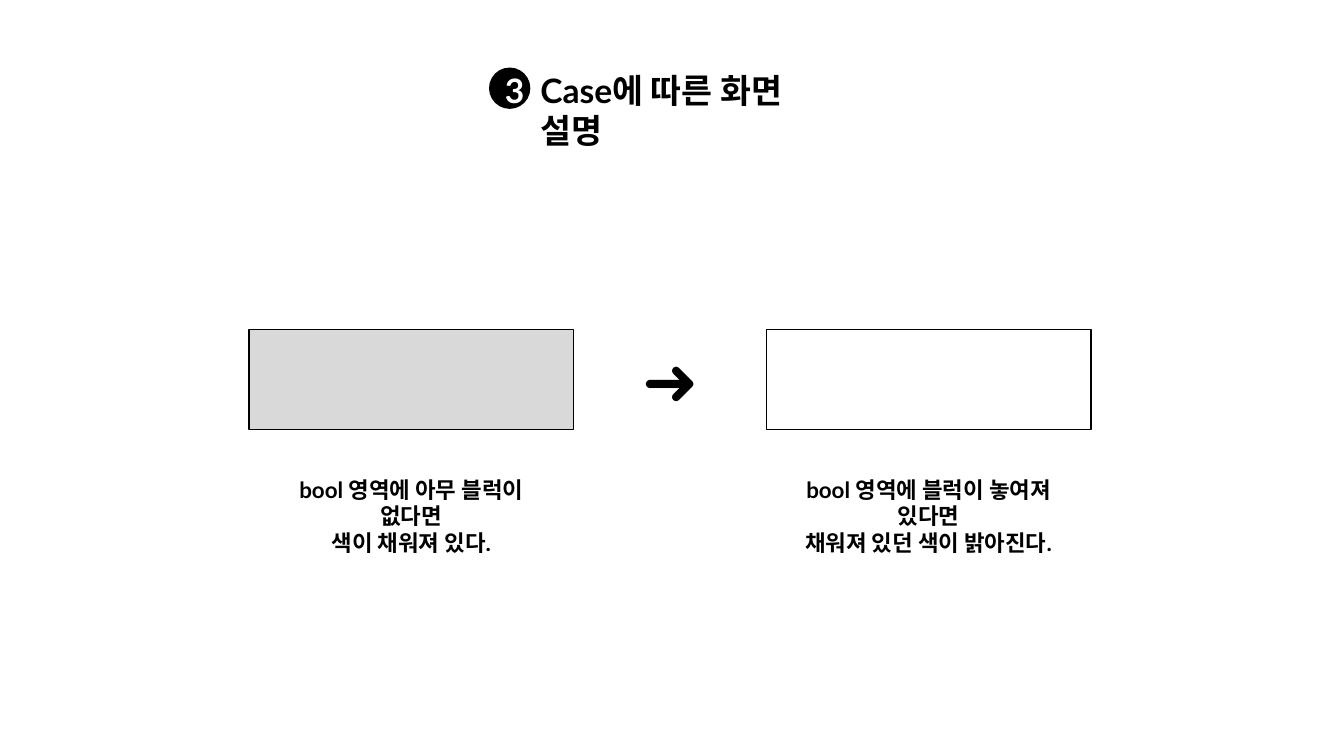
"""Build the slide that explains the screen for each case."""
from pptx import Presentation
from pptx.dml.color import RGBColor
from pptx.enum import shapes, text
from pptx.util import Inches, Pt

COLORS = {"black": "000000", "white": "FFFFFF", "gray": "D9D9D9"}


def write(shape, lines, size=16, color="black", align=text.PP_ALIGN.CENTER,
          anchor=text.MSO_ANCHOR.TOP, wrap=True):
    frame = shape.text_frame
    frame.text = lines
    frame.word_wrap = wrap
    frame.auto_size = text.MSO_AUTO_SIZE.NONE
    frame.vertical_anchor = anchor
    for paragraph in frame.paragraphs:
        paragraph.alignment = align
        paragraph.font.name = "Lato"
        paragraph.font.size = Pt(size)
        paragraph.font.bold = True
        paragraph.font.color.rgb = RGBColor.from_string(COLORS[color])


def add_filled(kind, left, top, width, height, fill):
    shape = slide.shapes.add_shape(
        kind, Inches(left), Inches(top), Inches(width), Inches(height))
    shape.shadow.inherit = False
    shape.fill.solid()
    shape.fill.fore_color.rgb = RGBColor.from_string(COLORS[fill])
    return shape


presentation = Presentation()
presentation.slide_width = Inches(13.33)
presentation.slide_height = Inches(7.5)
slide = presentation.slides.add_slide(presentation.slide_layouts[5])

title = slide.shapes.title
title.left, title.top = Inches(5.26), Inches(0.64)
title.width, title.height = Inches(3.22), Inches(0.5)
write(title, "Case에 따른 화면 설명", size=24, align=text.PP_ALIGN.LEFT)

badge = add_filled(shapes.MSO_SHAPE.OVAL, 4.85, 0.67, 0.41, 0.41, "black")
badge.line.fill.background()
write(badge, "3", size=24, color="white", anchor=text.MSO_ANCHOR.MIDDLE)
badge.text_frame.margin_top = Inches(0.08)

cases = [
    (2.47, "gray", 2.58, 3, "bool 영역에 아무 블럭이 없다면\n색이 채워져 있다."),
    (7.6, "white", 7.61, 3.2, "bool 영역에 블럭이 놓여져 있다면\n채워져 있던 색이 밝아진다."),
]
for box_left, fill, caption_left, caption_width, lines in cases:
    caption = slide.shapes.add_textbox(
        Inches(caption_left), Inches(4.67), Inches(caption_width), Inches(0.64))
    write(caption, lines)
    box = add_filled(shapes.MSO_SHAPE.RECTANGLE, box_left, 3.27, 3.22, 0.99, fill)
    box.line.color.rgb = RGBColor.from_string(COLORS["black"])
    box.line.width = Pt(1)

arrow = slide.shapes.add_textbox(Inches(6.26), Inches(3.31), Inches(0.78), Inches(0.91))
write(arrow, "➜", size=48, wrap=False)

presentation.save("out.pptx")
